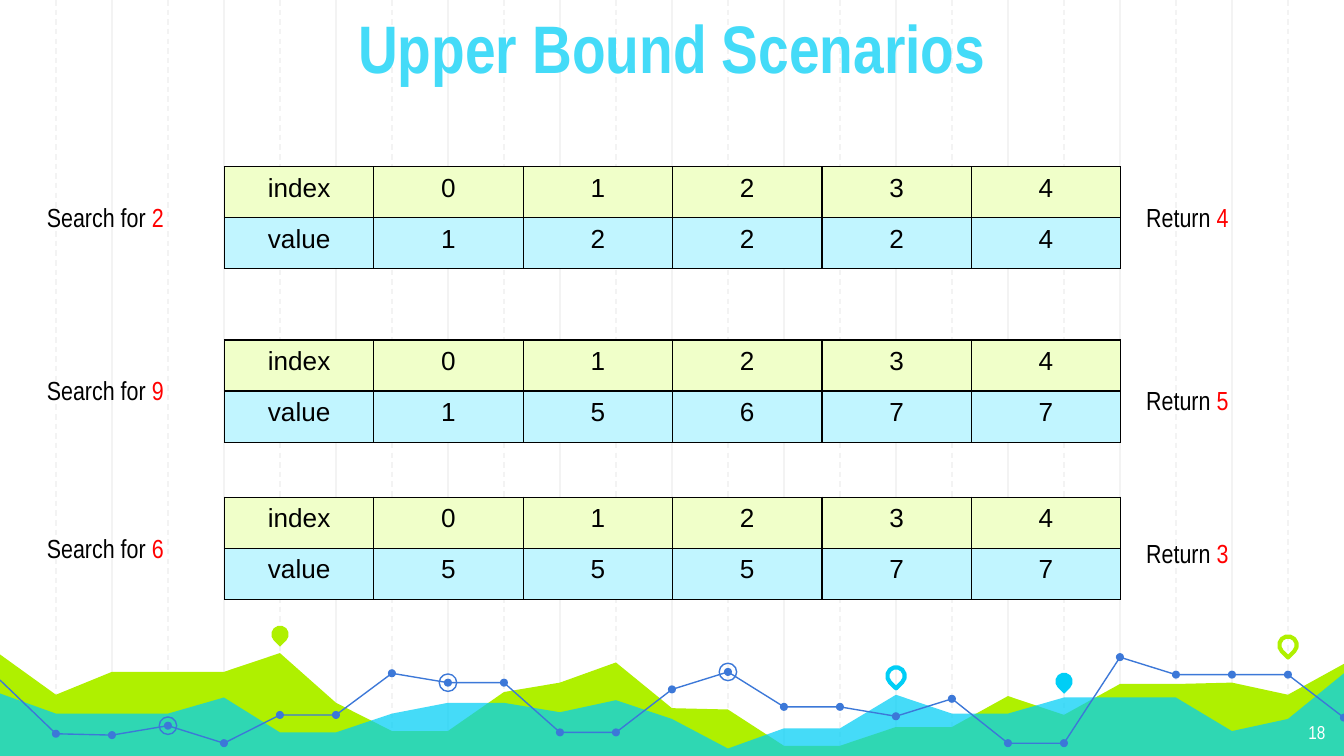
from pptx import Presentation
from pptx.dml.color import RGBColor
from pptx.enum.dml import MSO_LINE_DASH_STYLE as Dash
from pptx.enum.shapes import MSO_CONNECTOR_TYPE as Connector, MSO_SHAPE as Shape
from pptx.enum.text import PP_ALIGN as Align
from pptx.oxml import parse_xml
from pptx.oxml.ns import nsdecls, qn
from pptx.util import Inches, Pt
from lxml.etree import SubElement

COLORS = {
    "grid": "F3F3F3", "lime": "AFF000", "cyan": "00CEF6", "blue": "3C78D8",
    "title": "44DBF8", "index": "F0FFC9", "value": "C1F5FF",
    "black": "000000", "red": "FF0000", "white": "FFFFFF",
}
WIDTH = 10
HEIGHT = WIDTH * 9 / 16
STEP = WIDTH / 24

# Depths below the top of the landscape, in hundredths of an inch, one per grid step
LIME_HILLS = [22, 52, 35, 35, 35, 21, 58, 79, 79, 50, 43, 28, 62,
              63, 90, 90, 76, 76, 53, 67, 44, 44, 43, 52, 29]
CYAN_HILLS = [51, 66, 66, 66, 54, 80, 80, 66, 58, 58, 65, 56, 70,
              92, 77, 77, 52, 66, 66, 54, 54, 54, 79, 70, 36]
TREND = [41, 81, 82, 75, 88, 67, 67, 36, 43, 43, 80, 80, 48,
         35, 61, 61, 68, 55, 88, 88, 24, 37, 37, 37, 69]
TREND_PARTS = [(0, 11), (11, 20), (20, 24)]
RINGED_STEPS = [8, 3, 13]
PINS = [(5, 7, "lime", True), (16, 38, "cyan", False),
        (19, 42, "cyan", True), (23, 15, "lime", False)]

# top, searched number, values, returned number, offset of the return label
SCENARIOS = [
    (1.24, "2", "12224", "4", 0.21),
    (2.53, "9", "15677", "5", 0.28),
    (3.70, "6", "55577", "3", 0.25),
]


def color(name):
    """Look up a named colour."""
    return RGBColor.from_string(COLORS[name])


def write(paragraph, text, size=14, font="Arial Narrow", ink="black", bold=False,
          align=None):
    """Append a formatted run to a paragraph."""
    run = paragraph.add_run()
    run.text = text
    run.font.size, run.font.name, run.font.bold = Pt(size), font, bold
    run.font.color.rgb = color(ink)
    if align is not None:
        paragraph.alignment = align


def add_text_box(slide, left, top, width, height, inset=0.05):
    """Add a wrapping text box and return its first paragraph."""
    box = slide.shapes.add_textbox(Inches(left), Inches(top), Inches(width), Inches(height))
    frame = box.text_frame
    frame.word_wrap = True
    frame.margin_top = frame.margin_bottom = Inches(inset)
    return frame.paragraphs[0]


def paint(shape, fill=None, line=None, weight=0.75):
    """Give a shape its fill and outline, without a shadow."""
    shape.shadow.inherit = False
    if fill:
        shape.fill.solid()
        shape.fill.fore_color.rgb = color(fill)
    else:
        shape.fill.background()
    if line:
        shape.line.color.rgb = color(line)
        shape.line.width = Pt(weight)
    else:
        shape.line.fill.background()


def add_centered(slide, kind, x, y, size, **style):
    """Add a painted preset shape around a centre point."""
    shape = slide.shapes.add_shape(kind, Inches(x - size / 2), Inches(y - size / 2),
                                   Inches(size), Inches(size))
    paint(shape, **style)
    return shape


def add_path(slide, points, close, **style):
    """Add a painted freeform through points given in inches."""
    points = [(Inches(x), Inches(y)) for x, y in points]
    builder = slide.shapes.build_freeform(*points[0], scale=1.0)
    builder.add_line_segments(points[1:], close=close)
    shape = builder.convert_to_shape()
    paint(shape, **style)
    return shape


def add_grid(slide, left, top, height):
    """Draw solid lines on even steps, then dashed lines on odd steps."""
    for first, dash in ((2, None), (1, Dash.DASH)):
        for step in range(first, 24, 2):
            x = Inches(left + step * STEP)
            line = slide.shapes.add_connector(Connector.STRAIGHT, x, Inches(top),
                                              x, Inches(top + height))
            line.line.color.rgb = color("grid")
            line.line.width = Pt(0.75)
            line.line.dash_style = dash
            SubElement(line._element.spPr, qn("a:effectLst"))


def add_landscape(slide, left, top, height):
    """Draw the hills, the dotted trend line and the pins."""
    def place(step, depth):
        return left + step * STEP, top + depth / 100

    def add_hills(depths, fill):
        ridge = [place(step, depth) for step, depth in enumerate(depths)]
        base = [(left + WIDTH, top + height), (left, top + height)]
        return add_path(slide, ridge + base, True, fill=fill)

    add_hills(LIME_HILLS, "lime")
    front = add_hills(CYAN_HILLS, "cyan")
    tint = front.fill._xPr.find(qn("a:solidFill"))[0]
    SubElement(tint, qn("a:alpha"), val="73000")

    trend = [place(step, depth) for step, depth in enumerate(TREND)]
    for first, last in TREND_PARTS:
        add_path(slide, trend[first:last + 1], False, line="blue")
    for x, y in trend[1:]:
        add_centered(slide, Shape.OVAL, x, y, 0.06, fill="blue")
    for step in RINGED_STEPS:
        add_centered(slide, Shape.OVAL, *trend[step], 0.13, line="blue")
    for step, depth, tone, filled in PINS:
        style = {"fill": tone} if filled else {"line": tone, "weight": 2.25}
        pin = add_centered(slide, Shape.TEAR, *place(step, depth), 0.13, **style)
        pin.rotation = 135


def add_borders(cell):
    """Put a thin black border on every side of a cell."""
    properties = cell._tc.get_or_add_tcPr()
    for position, side in enumerate(("lnL", "lnR", "lnT", "lnB")):
        properties.insert(position, parse_xml(
            f'<a:{side} {nsdecls("a")} w="9525"><a:solidFill>'
            f'<a:srgbClr val="{COLORS["black"]}"/></a:solidFill></a:{side}>'))


def add_array(slide, left, top, width, height, values):
    """Add a table of indices over values."""
    rows = {"index": range(len(values)), "value": values}
    table = slide.shapes.add_table(2, len(values) + 1, Inches(left), Inches(top),
                                   Inches(width), Inches(height)).table
    table.first_row = table.horz_banding = False
    for row, (name, entries) in enumerate(rows.items()):
        for column, entry in enumerate([name, *entries]):
            cell = table.cell(row, column)
            cell.fill.solid()
            cell.fill.fore_color.rgb = color(name)
            add_borders(cell)
            write(cell.text_frame.paragraphs[0], str(entry), font="Arial",
                  align=Align.CENTER)


def add_scenario(slide, left, top, target, values, result, result_offset):
    """Add one search: its label, its array and its result."""
    add_array(slide, left + 1.42, top, 6.67, 0.76, values)
    labels = (("Search for ", target, 0, 0.21, 1.69),
              ("Return ", result, 8.18, result_offset, 1.24))
    for label, number, shift, offset, width in labels:
        paragraph = add_text_box(slide, left + shift, top + offset, width, 0.34)
        write(paragraph, label)
        write(paragraph, number, ink="red")


def build():
    """Build and save the presentation."""
    presentation = Presentation()
    presentation.slide_width, presentation.slide_height = Inches(WIDTH), Inches(HEIGHT)
    slide = presentation.slides.add_slide(presentation.slide_layouts[6])
    add_grid(slide, 0, 0, HEIGHT)
    add_landscape(slide, 0, 4.65, 0.98)
    write(add_text_box(slide, 9.36, 5.28, 0.6, 0.35, inset=0.1), "18", size=10,
          ink="white", align=Align.RIGHT)
    write(add_text_box(slide, 0, 0, WIDTH, 0.71), "Upper Bound Scenarios", size=36,
          ink="title", bold=True, align=Align.CENTER)
    for top, *details in SCENARIOS:
        add_scenario(slide, 0.25, top, *details)
    presentation.save("out.pptx")


build()
